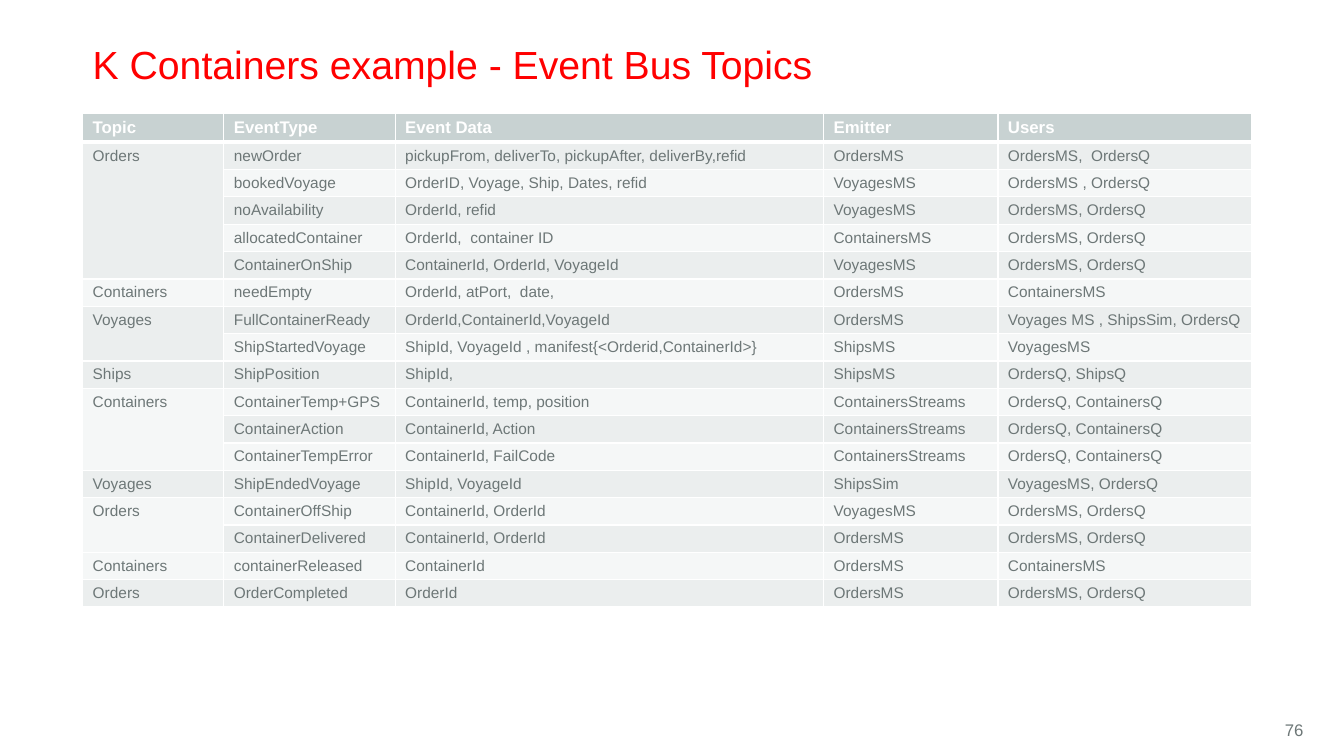
from itertools import accumulate

from lxml.etree import SubElement
from pptx import Presentation
from pptx.dml.color import RGBColor as RGB
from pptx.enum.text import MSO_ANCHOR as ANCHOR, PP_ALIGN as ALIGN
from pptx.oxml.ns import qn
from pptx.util import Pt

COLORS = {"title": "FF0000", "text": "6D7777", "white": "FFFFFF",
          "header": "C8D2D2", "odd": "EBEEEE", "even": "F5F7F7"}
HEADERS = ["Topic", "EventType", "Event Data", "Emitter", "Users"]
COL_WIDTHS = [100.8, 122.4, 306, 124.56, 181.44]
HEADER_H, ROW_H = 20, 19.55
TOPICS = [
    ("Orders", [
        ("newOrder", "pickupFrom, deliverTo, pickupAfter, deliverBy,refid", "OrdersMS", "OrdersMS,  OrdersQ"),
        ("bookedVoyage", "OrderID, Voyage, Ship, Dates, refid", "VoyagesMS", "OrdersMS , OrdersQ"),
        ("noAvailability", "OrderId, refid", "VoyagesMS", "OrdersMS, OrdersQ"),
        ("allocatedContainer", "OrderId,  container ID", "ContainersMS", "OrdersMS, OrdersQ"),
        ("ContainerOnShip", "ContainerId, OrderId, VoyageId", "VoyagesMS", "OrdersMS, OrdersQ")]),
    ("Containers", [
        ("needEmpty", "OrderId, atPort,  date,", "OrdersMS", "ContainersMS")]),
    ("Voyages", [
        ("FullContainerReady", "OrderId,ContainerId,VoyageId", "OrdersMS", "Voyages MS , ShipsSim, OrdersQ"),
        ("ShipStartedVoyage", "ShipId, VoyageId , manifest{<Orderid,ContainerId>}", "ShipsMS", "VoyagesMS")]),
    ("Ships", [
        ("ShipPosition", "ShipId,", "ShipsMS", "OrdersQ, ShipsQ")]),
    ("Containers", [
        ("ContainerTemp+GPS", "ContainerId, temp, position", "ContainersStreams", "OrdersQ, ContainersQ"),
        ("ContainerAction", "ContainerId, Action", "ContainersStreams", "OrdersQ, ContainersQ"),
        ("ContainerTempError", "ContainerId, FailCode", "ContainersStreams", "OrdersQ, ContainersQ")]),
    ("Voyages", [
        ("ShipEndedVoyage", "ShipId, VoyageId", "ShipsSim", "VoyagesMS, OrdersQ")]),
    ("Orders", [
        ("ContainerOffShip", "ContainerId, OrderId", "VoyagesMS", "OrdersMS, OrdersQ"),
        ("ContainerDelivered", "ContainerId, OrderId", "OrdersMS", "OrdersMS, OrdersQ")]),
    ("Containers", [
        ("containerReleased", "ContainerId", "OrdersMS", "ContainersMS")]),
    ("Orders", [
        ("OrderCompleted", "OrderId", "OrdersMS", "OrdersMS, OrdersQ")]),
]


def set_attrs(obj, values):
    """Set each named attribute of an object."""
    for name, value in values.items():
        setattr(obj, name, value)


def write(tf, text, size, color, bold=False, **para):
    """Write one formatted paragraph into a text frame."""
    p = tf.paragraphs[0]
    set_attrs(p, para)
    r = p.add_run()
    r.text = text
    set_attrs(r.font, {"name": "Arial", "size": Pt(size), "bold": bold})
    r.font.color.rgb = RGB.from_string(COLORS[color])


def add_title(s, box, text):
    """Place and format the title placeholder."""
    sp = s.shapes.title
    set_attrs(sp, dict(zip(("left", "top", "width", "height"), map(Pt, box))))
    tf = sp.text_frame
    set_attrs(tf, {"margin_left": 0, "margin_top": Pt(3.6), "margin_right": Pt(7.2),
                   "margin_bottom": 0, "vertical_anchor": ANCHOR.BOTTOM, "word_wrap": True})
    write(tf, text, 28, "title", alignment=ALIGN.LEFT, line_spacing=0.85)


def add_page_number(s, box, text):
    """Add the page number at the right of its box."""
    tf = s.shapes.add_textbox(*map(Pt, box)).text_frame
    set_attrs(tf, {"word_wrap": True, "vertical_anchor": ANCHOR.MIDDLE})
    write(tf, text, 12, "text", alignment=ALIGN.RIGHT)


def add_borders(cell, top, bottom):
    """Draw white borders around a table cell."""
    tc_pr = cell._tc.get_or_add_tcPr()
    for side, width in {"L": 1, "R": 1, "T": top, "B": bottom}.items():
        ln = SubElement(tc_pr, qn(f"a:ln{side}"), w=str(Pt(width)))
        fill = SubElement(ln, qn("a:solidFill"))
        SubElement(fill, qn("a:srgbClr"), val=COLORS["white"])


def add_topic_table(s, left, top):
    """Add the table of topics and their events."""
    rows = [HEADERS] + [("" if i else topic, *event)
                        for topic, events in TOPICS for i, event in enumerate(events)]
    height = HEADER_H + ROW_H * (len(rows) - 1)
    table = s.shapes.add_table(len(rows), len(HEADERS), Pt(left), Pt(top),
                               Pt(sum(COL_WIDTHS)), Pt(height)).table
    for col, width in zip(table.columns, COL_WIDTHS):
        col.width = Pt(width)
    for i, row in enumerate(rows):
        table.rows[i].height = Pt(ROW_H if i else HEADER_H)
        band = ("odd" if i % 2 else "even") if i else "header"
        for j, text in enumerate(row):
            cell = table.cell(i, j)
            add_borders(cell, 3 if i == 1 else 1, 1 if i else 3)
            cell.fill.solid()
            cell.fill.fore_color.rgb = RGB.from_string(COLORS[band])
            if text:
                write(cell.text_frame, text, 11 if i else 12, "text" if i else "white", bold=not i)
    counts = [len(events) for _, events in TOPICS]
    for count, end in zip(counts, accumulate(counts)):
        if count > 1:
            table.cell(end - count + 1, 0).merge(table.cell(end, 0))


def main():
    """Build the slide and save it."""
    prs = Presentation()
    set_attrs(prs, {"slide_width": Pt(960), "slide_height": Pt(540)})
    s = prs.slides.add_slide(prs.slide_layouts[5])
    add_title(s, (66.24, 28.8, 828, 33.84), "K Containers example - Event Bus Topics")
    add_topic_table(s, 59.04, 80.9)
    add_page_number(s, (896.4, 506.88, 41.76, 28.8), "76")
    prs.save("out.pptx")


if __name__ == "__main__":
    main()
